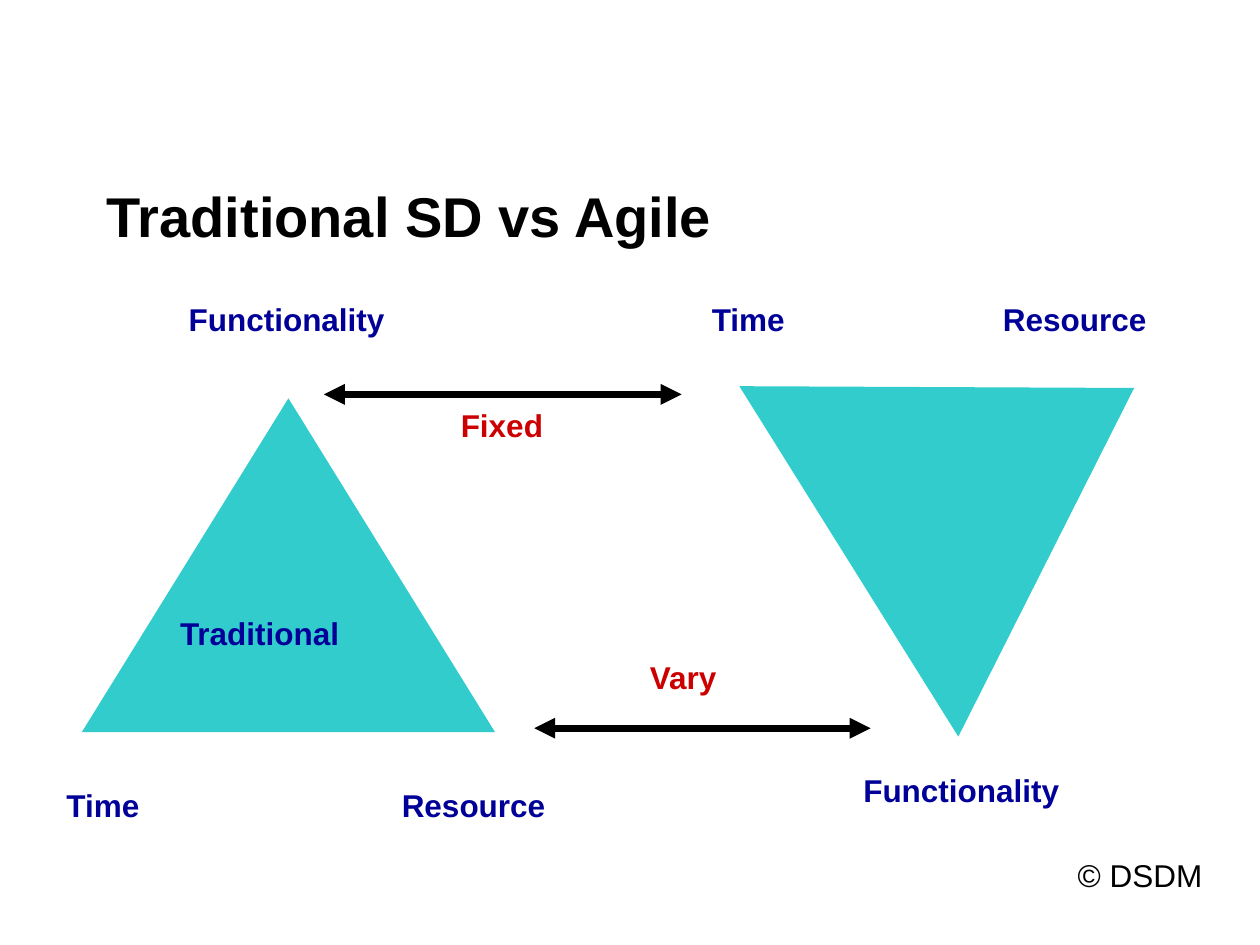
from dataclasses import dataclass

from lxml import etree
from pptx import Presentation
from pptx.dml.color import RGBColor
from pptx.enum.shapes import MSO_CONNECTOR, MSO_SHAPE
from pptx.enum.text import MSO_ANCHOR, PP_ALIGN
from pptx.oxml.ns import qn
from pptx.util import Cm, Pt

LINE = MSO_CONNECTOR.STRAIGHT
TRIANGLE = MSO_SHAPE.ISOSCELES_TRIANGLE
LEFT, CENTER, RIGHT = PP_ALIGN.LEFT, PP_ALIGN.CENTER, PP_ALIGN.RIGHT
TOP, MIDDLE = MSO_ANCHOR.TOP, MSO_ANCHOR.MIDDLE


@dataclass(frozen=True)
class Theme:
    """Hold the colours, type and line sizes of the slide."""
    black: RGBColor = RGBColor(0x00, 0x00, 0x00)
    blue: RGBColor = RGBColor(0x00, 0x00, 0x99)
    red: RGBColor = RGBColor(0xCC, 0x00, 0x00)
    teal: RGBColor = RGBColor(0x33, 0xCC, 0xCC)
    face: str = "Arial"
    head: Pt = Pt(32)
    body: Pt = Pt(18)
    rule: Pt = Pt(4)


THEME = Theme()


def assign(item, values):
    """Set each attribute named in values."""
    for name, value in values.items():
        setattr(item, name, value)


def write(shape, text, size, color, bold=True, align=LEFT, anchor=TOP, tab=None):
    """Put one formatted paragraph into a shape."""
    frame = shape.text_frame
    assign(frame, {
        "text": text, "word_wrap": True, "vertical_anchor": anchor,
        "margin_left": Cm(0.25), "margin_right": Cm(0.25),
        "margin_top": Cm(0.13), "margin_bottom": Cm(0.13),
    })
    para = frame.paragraphs[0]
    para.alignment = align
    if tab:
        stops = etree.SubElement(para._p.get_or_add_pPr(), qn("a:tabLst"))
        etree.SubElement(stops, qn("a:tab"), pos=str(Cm(tab)), algn="l")
    for run in para.runs:
        assign(run.font, {"name": THEME.face, "size": size, "bold": bold})
        run.font.color.rgb = color


def add_title(slide, text):
    """Place and fill the title."""
    title = slide.shapes.title
    assign(title, {"left": Cm(1.9), "top": Cm(3.12),
                   "width": Cm(21.6), "height": Cm(2.44)})
    write(title, text, THEME.head, THEME.black, anchor=MIDDLE)


def add_label(slide, text, x, y, width, color=THEME.blue, **style):
    """Add a text label one line high."""
    box = slide.shapes.add_textbox(Cm(x), Cm(y), Cm(width), Cm(1.02))
    write(box, text, THEME.body, color, **style)


def add_triangle(slide, x, y, peak=0.5, turn=0):
    """Add a plain triangle, turned by some degrees."""
    shape = slide.shapes.add_shape(TRIANGLE, Cm(x), Cm(y), Cm(8.33), Cm(6.73))
    shape.adjustments[0] = peak
    shape.rotation = turn
    shape.shadow.inherit = False
    shape.fill.solid()
    shape.fill.fore_color.rgb = THEME.teal
    shape.line.fill.background()


def add_arrow(slide, start, end, y):
    """Add a level line with a head at each end."""
    arrow = slide.shapes.add_connector(LINE, Cm(start), Cm(y), Cm(end), Cm(y))
    arrow.line.width = THEME.rule
    arrow.line.color.rgb = THEME.black
    stroke = arrow.line._get_or_add_ln()
    for end_tag in ("a:headEnd", "a:tailEnd"):
        etree.SubElement(stroke, qn(end_tag), type="triangle")
    etree.SubElement(arrow._element.spPr, qn("a:effectLst"))


def main():
    """Build the slide and save it."""
    deck = Presentation()
    assign(deck, {"slide_width": Cm(25.4), "slide_height": Cm(19.05)})
    slide = deck.slides.add_slide(deck.slide_layouts[5])
    add_title(slide, "Traditional SD vs Agile")

    add_triangle(slide, 1.65, 8.03)
    add_triangle(slide, 15.8, 6.17, peak=0.51, turn=58)
    add_arrow(slide, 6.53, 13.74, 7.95)
    add_arrow(slide, 10.77, 17.55, 14.68)

    add_label(slide, "Functionality", 2.9, 5.92, 5.76, align=CENTER)
    add_label(slide, "Time\tResource", 1.09, 15.72, 10.5, tab=6.76)
    add_label(slide, "Traditional", 3.38, 12.24, 4.83)
    add_label(slide, "Time\tResource", 14.1, 5.92, 9.4, tab=5.87)
    add_label(slide, "Functionality", 16.5, 15.42, 5.76, align=CENTER)
    add_label(slide, "Fixed", 9.04, 8.05, 2.72, THEME.red)
    add_label(slide, "Vary", 12.85, 13.13, 2.34, THEME.red)
    add_label(slide, "© DSDM", 15.09, 17.12, 9.4, THEME.black,
              bold=False, align=RIGHT)
    deck.save("out.pptx")


if __name__ == "__main__":
    main()
